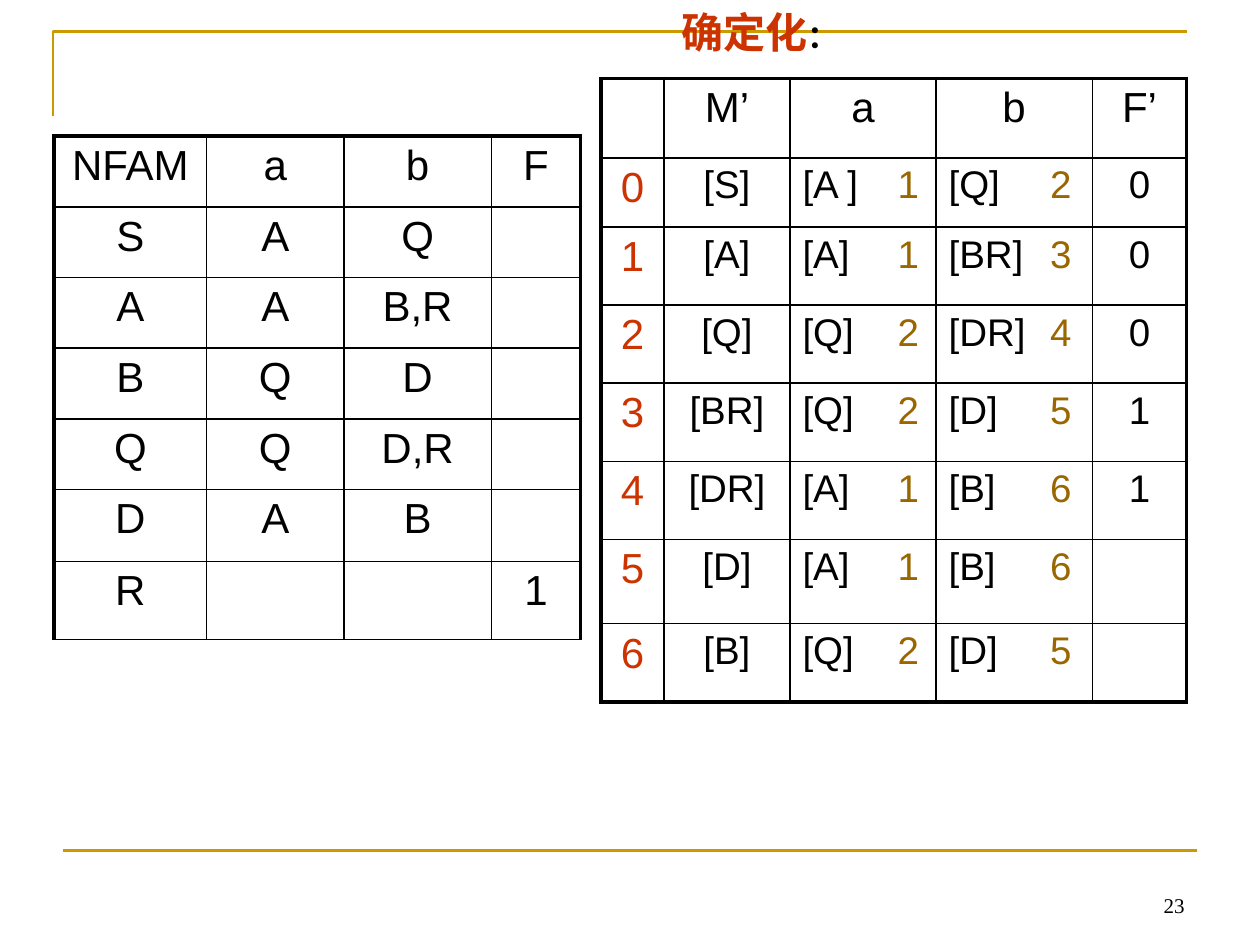
from lxml import etree
from pptx import Presentation
from pptx import util as u
from pptx.dml.color import RGBColor
from pptx.enum import shapes, text
from pptx.oxml import ns

INK = {"text": "000000", "state": "CC3300", "next": "996600", "rule": "CC9900"}
WIDE, HIGH = u.Inches(10), u.Inches(7.5)
THICK, THIN = 2.25, 1

# Row label, state set, then (set, number) for a and b, then final flag
DFA = [
    ("0", "[S]", ("[A ]", "1"), ("[Q]", "2"), "0"),
    ("1", "[A]", ("[A]", "1"), ("[BR]", "3"), "0"),
    ("2", "[Q]", ("[Q]", "2"), ("[DR]", "4"), "0"),
    ("3", "[BR]", ("[Q]", "2"), ("[D]", "5"), "1"),
    ("4", "[DR]", ("[A]", "1"), ("[B]", "6"), "1"),
    ("5", "[D]", ("[A]", "1"), ("[B]", "6"), ""),
    ("6", "[B]", ("[Q]", "2"), ("[D]", "5"), ""),
]
NFA = [
    ("NFAM", "a", "b", "F"),
    ("S", "A", "Q", ""),
    ("A", "A", "B,R", ""),
    ("B", "Q", "D", ""),
    ("Q", "Q", "D,R", ""),
    ("D", "A", "B", ""),
    ("R", "", "", "1"),
]


def place(left, top, width, height):
    """Turn percentages of the slide into lengths."""
    return [int(part * side / 100) for part, side in
            zip((left, top, width, height), (WIDE, HIGH) * 2)]


def style(run, size, ink="text", face="Arial", bold=False):
    font = run.font
    font.size, font.name, font.bold = u.Pt(size), face, bold
    font.color.rgb = RGBColor.from_string(INK[ink])


def trace(shape):
    shape.line.color.rgb = RGBColor.from_string(INK["rule"])
    shape.line.width = u.Pt(1.5)


def edge(cell, sides):
    """Draw cell borders; sides maps L, R, T, B to widths in points."""
    props = cell._tc.get_or_add_tcPr()
    for side, width in sides.items():
        line = etree.SubElement(props, ns.qn(f"a:ln{side}"), w=str(u.Pt(width)))
        fill = etree.SubElement(line, ns.qn("a:solidFill"))
        etree.SubElement(fill, ns.qn("a:srgbClr"), val=INK["text"])


def add_tab(para, pos):
    props = para._p.get_or_add_pPr()
    tabs = etree.SubElement(props, ns.qn("a:tabLst"))
    etree.SubElement(tabs, ns.qn("a:tab"), pos=str(pos), algn="l")


def add_grid(slide, box, cols, rows, base):
    """Add an empty ruled table; cols and rows are relative sizes."""
    left, top, width, height = place(*box)
    grid = slide.shapes.add_table(len(rows), len(cols), left, top, width, height).table
    grid.first_row = grid.horz_banding = False
    for parts, sizes, name, full in ((grid.columns, cols, "width", width),
                                     (grid.rows, rows, "height", height)):
        for part, size in zip(parts, sizes):
            setattr(part, name, int(full * size / sum(sizes)))
    for r in range(len(rows)):
        for c in range(len(cols)):
            cell = grid.cell(r, c)
            edge(cell, {"L": THIN if c else THICK,
                        "R": THICK if c == len(cols) - 1 else THIN,
                        "T": THIN if r else THICK,
                        "B": base if r == len(rows) - 1 else THIN})
            cell.fill.background()
    return grid


def write(cell, words, size, ink="text"):
    if words:
        para = cell.text_frame.paragraphs[0]
        para.text = words
        para.alignment = text.PP_ALIGN.CENTER
        style(para.runs[0], size, ink)


def write_move(cell, move, stop):
    """Write a state set and, at a tab stop, the number of that set."""
    para = cell.text_frame.paragraphs[0]
    add_tab(para, stop)
    for words, ink in zip((move[0] + "\t", move[1]), ("text", "next")):
        run = para.add_run()
        run.text = words
        style(run, 22, ink)


def add_nfa(slide, box):
    grid = add_grid(slide, box, (1.21, 1.09, 1.17, 0.71), [0.56] * 5 + [0.57, 0.62], THIN)
    for r, row in enumerate(NFA):
        for c, words in enumerate(row):
            write(grid.cell(r, c), words, 24)


def add_dfa(slide, box):
    cols = (0.5, 1, 1.16, 1.24, 0.75)
    grid = add_grid(slide, box, cols, [0.63, 0.55] + [0.62] * 4 + [0.67, 0.62], THICK)
    for c, words in enumerate(("", "M’", "a", "b", "F’")):
        write(grid.cell(0, c), words, 24)
    for r, (label, state, *moves, final) in enumerate(DFA, 1):
        write(grid.cell(r, 0), label, 24, "state")
        write(grid.cell(r, 1), state, 22)
        for c, move in enumerate(moves, 2):
            write_move(grid.cell(r, c), move, int(grid.columns[c].width * 0.65))
        write(grid.cell(r, 4), final, 22)


def add_frame(slide, box):
    """Draw the open corner: left side and top side of the box."""
    left, top, width, height = place(*box)
    pen = slide.shapes.build_freeform(left, top + height)
    pen.add_line_segments([(left, top), (left + width, top)], close=False)
    corner = pen.convert_to_shape()
    corner.fill.background()
    corner.shadow.inherit = False
    trace(corner)


def add_foot(slide, box):
    """Draw the rule along the top of the box and the page number below it."""
    left, top, width, height = place(*box)
    rule = slide.shapes.add_connector(
        shapes.MSO_CONNECTOR.STRAIGHT, left, top, left + width, top)
    trace(rule)
    etree.SubElement(rule._element.spPr, ns.qn("a:effectLst"))
    wide, high = int(width * 0.26), int(height * 0.86)
    page = slide.shapes.add_textbox(
        left + width - wide, top + height - high, wide, high).text_frame
    page.word_wrap = True
    page.vertical_anchor = text.MSO_ANCHOR.BOTTOM
    para = page.paragraphs[0]
    para.text = "23"
    para.alignment = text.PP_ALIGN.RIGHT
    style(para.runs[0], 12, face="Times New Roman")


def add_title(slide, box):
    title = slide.shapes.title
    slide.shapes._spTree.append(title._element)  # bring in front of the frame
    title.left, title.top, title.width, title.height = place(*box)
    frame = title.text_frame
    frame.word_wrap = False
    frame.auto_size = text.MSO_AUTO_SIZE.NONE
    frame.vertical_anchor = text.MSO_ANCHOR.TOP
    para = frame.paragraphs[0]
    para.alignment = text.PP_ALIGN.LEFT
    for words, size, ink in (("确定化", 24, "state"), ("：", 18, "text")):
        run = para.add_run()
        run.text = words
        style(run, size, ink, bold=True)


def main():
    deck = Presentation()
    deck.slide_width, deck.slide_height = WIDE, HIGH
    slide = deck.slides.add_slide(deck.slide_layouts[5])
    add_frame(slide, (4.2, 3.33, 90, 8.93))
    add_foot(slide, (5, 90, 90, 7.73))
    add_dfa(slide, (47.7, 8.3, 46.5, 66))
    add_title(slide, (53.1, 0, 14.6, 6.67))
    add_nfa(slide, (4.3, 14.4, 41.8, 53.3))
    deck.save("out.pptx")


if __name__ == "__main__":
    main()
